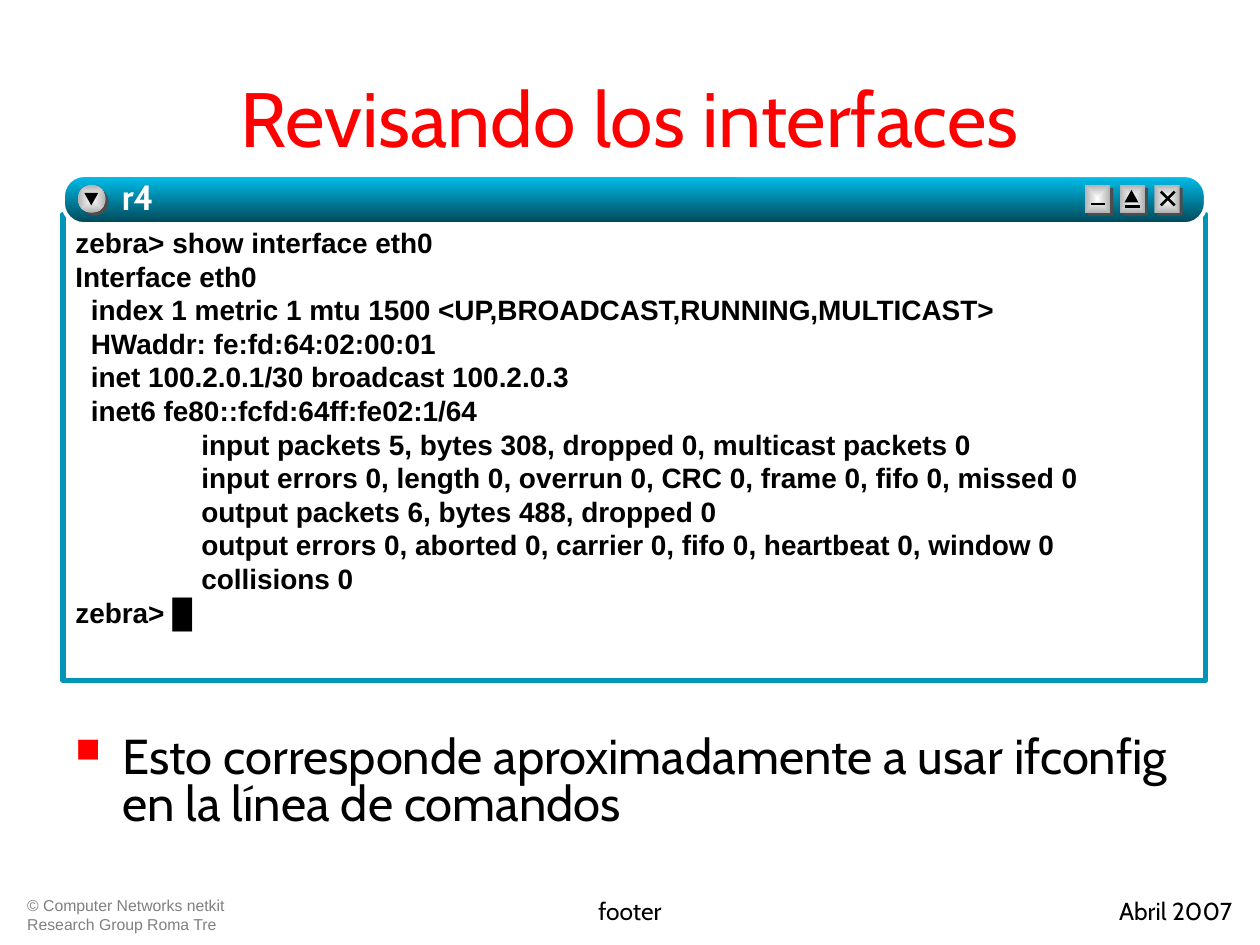
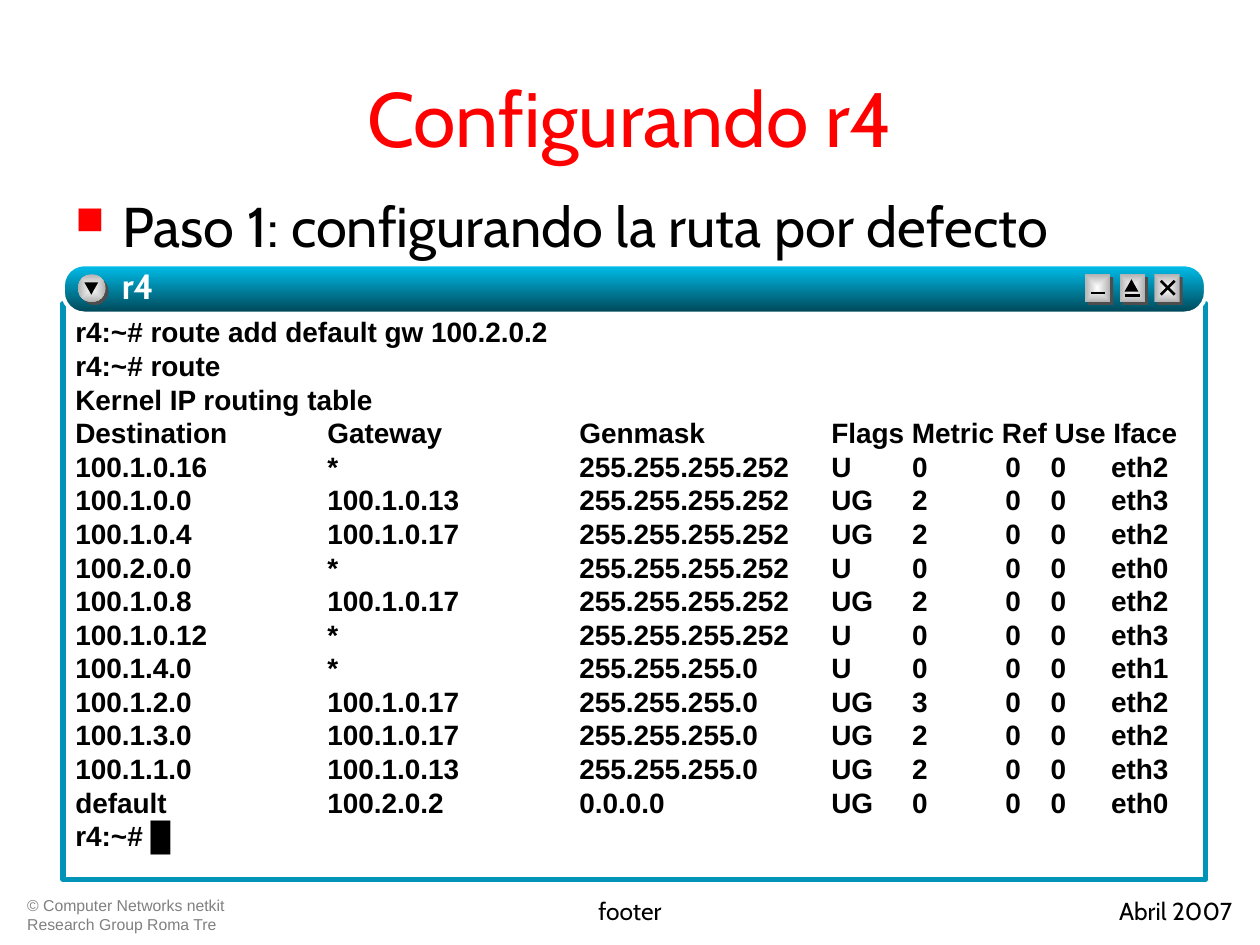
"""Builds two slides that show terminal windows of router r4."""
from dataclasses import dataclass
from typing import NamedTuple

from lxml import etree
from pptx import Presentation
from pptx.dml.color import RGBColor
from pptx.enum.shapes import MSO_CONNECTOR, MSO_SHAPE
from pptx.enum.text import MSO_ANCHOR, PP_ALIGN
from pptx.oxml.ns import qn
from pptx.util import Cm, Pt

RED = RGBColor(0xFF, 0x00, 0x00)
BLACK = RGBColor(0x00, 0x00, 0x00)
WHITE = RGBColor(0xFF, 0xFF, 0xFF)
GREY = RGBColor(0x80, 0x80, 0x80)
DARK_GREY = RGBColor(0x4D, 0x4D, 0x4D)
FRAME_BLUE = RGBColor(0x00, 0x95, 0xB8)
BAR_COLORS = (RGBColor(0x00, 0xC1, 0xEE), RGBColor(0x00, 0x45, 0x55))
BUTTON_COLORS = (RGBColor(0xFE, 0xFE, 0xFE), RGBColor(0xB2, 0xB2, 0xB2))

RECT, ROUNDED = MSO_SHAPE.RECTANGLE, MSO_SHAPE.ROUNDED_RECTANGLE
OVAL, TRIANGLE = MSO_SHAPE.OVAL, MSO_SHAPE.ISOSCELES_TRIANGLE
STRAIGHT = MSO_CONNECTOR.STRAIGHT
LEFT, CENTER, RIGHT = PP_ALIGN.LEFT, PP_ALIGN.CENTER, PP_ALIGN.RIGHT
TOP, MIDDLE = MSO_ANCHOR.TOP, MSO_ANCHOR.MIDDLE

SANS, MONO_AREA = "Cabin", "Arial"
MARGINS = (0.25, 0.13, 0.25, 0.13)
WINDOW_LEFT, WINDOW_WIDTH = 1.27, 23.04
BAR_HEIGHT, PANEL_OFFSET = 0.99, 0.79
BUTTON_LEFT, BUTTON_PITCH, BUTTON_DROP, BUTTON_SHADOW = 21.87, 0.7, 0.2, 0.06
FOOTER_TOP, FOOTER_HEIGHT = 17.93, 0.91


class Box(NamedTuple):
    """Position and size in centimetres."""
    x: float
    y: float
    w: float
    h: float


class Route(NamedTuple):
    """One line of the routing table."""
    destination: str
    gateway: str
    genmask: str
    flags: str
    metric: str
    iface: str

    def line(self) -> str:
        """Return the line with its columns parted by tabs."""
        return "\t".join((*self[:5], "0", "0", self.iface))


@dataclass(frozen=True)
class Button:
    """A window button: its strokes and optional triangle, from its corner."""
    strokes: tuple
    triangle: bool = False


@dataclass(frozen=True)
class TerminalSlide:
    """The content of one slide."""
    title: str
    bullet: str
    bullet_box: Box
    bullet_size: int
    bullet_spacing: float
    window_top: float
    panel_height: float
    lines: tuple
    tabs: tuple


BUTTONS = (
    Button(((0.13, 0.38, 0.41, 0.38),)),
    Button(((0.1, 0.43, 0.41, 0.43),), triangle=True),
    Button(((0.13, 0.41, 0.41, 0.13), (0.13, 0.13, 0.41, 0.41))),
)

ROUTES = (
    Route("100.1.0.16", "*", "255.255.255.252", "U", "0", "eth2"),
    Route("100.1.0.0", "100.1.0.13", "255.255.255.252", "UG", "2", "eth3"),
    Route("100.1.0.4", "100.1.0.17", "255.255.255.252", "UG", "2", "eth2"),
    Route("100.2.0.0", "*", "255.255.255.252", "U", "0", "eth0"),
    Route("100.1.0.8", "100.1.0.17", "255.255.255.252", "UG", "2", "eth2"),
    Route("100.1.0.12", "*", "255.255.255.252", "U", "0", "eth3"),
    Route("100.1.4.0", "*", "255.255.255.0", "U", "0", "eth1"),
    Route("100.1.2.0", "100.1.0.17", "255.255.255.0", "UG", "3", "eth2"),
    Route("100.1.3.0", "100.1.0.17", "255.255.255.0", "UG", "2", "eth2"),
    Route("100.1.1.0", "100.1.0.13", "255.255.255.0", "UG", "2", "eth3"),
    Route("default", "100.2.0.2", "0.0.0.0", "UG", "0", "eth0"),
)

SLIDES = (
    TerminalSlide(
        "Revisando los interfaces",
        "Esto corresponde aproximadamente a usar ifconfig en la línea de comandos",
        Box(1.27, 14.73, 22.86, 2.29), 28, 0.8, 3.53, 9.4,
        (
            "zebra> show interface eth0",
            "Interface eth0",
            "  index 1 metric 1 mtu 1500 <UP,BROADCAST,RUNNING,MULTICAST>",
            "  HWaddr: fe:fd:64:02:00:01",
            "  inet 100.2.0.1/30 broadcast 100.2.0.3",
            "  inet6 fe80::fcfd:64ff:fe02:1/64",
            "\tinput packets 5, bytes 308, dropped 0, multicast packets 0",
            "\tinput errors 0, length 0, overrun 0, CRC 0, frame 0, fifo 0, missed 0",
            "\toutput packets 6, bytes 488, dropped 0",
            "\toutput errors 0, aborted 0, carrier 0, fifo 0, heartbeat 0, window 0",
            "\tcollisions 0",
            "zebra> █",
        ),
        (2.54,),
    ),
    TerminalSlide(
        "Configurando r4",
        "Paso 1: configurando la ruta por defecto",
        Box(1.27, 3.73, 22.86, 1.68), 32, 1.0, 5.33, 11.61,
        (
            "r4:~# route add default gw 100.2.0.2",
            "r4:~# route",
            "Kernel IP routing table",
            "Destination\tGateway\tGenmask\tFlags Metric Ref Use Iface",
            *(route.line() for route in ROUTES),
            "r4:~# █",
        ),
        (5.08, 10.16, 15.24, 16.87, 18.75, 19.66, 20.88),
    ),
)


def add_child(parent, tag: str, **attributes):
    """Append a DrawingML element and return it."""
    return etree.SubElement(parent, qn(tag), attributes)


def add_bullet(p) -> None:
    """Give a paragraph a hanging red square bullet."""
    ppr = p._p.get_or_add_pPr()
    ppr.set("marL", str(Cm(0.95)))
    ppr.set("indent", str(-Cm(0.95)))
    add_child(add_child(ppr, "a:buClr"), "a:srgbClr", val=str(RED))
    add_child(ppr, "a:buSzPct", val="70000")
    add_child(ppr, "a:buChar", char="■")


def add_tabs(p, tabs: tuple) -> None:
    """Set left tab stops, given in centimetres."""
    tab_list = add_child(p._p.get_or_add_pPr(), "a:tabLst")
    for stop in tabs:
        add_child(tab_list, "a:tab", pos=str(Cm(stop)), algn="l")


def add_text_shadow(r) -> None:
    """Put a small dark shadow behind a run."""
    effects = etree.Element(qn("a:effectLst"))
    shadow = add_child(effects, "a:outerShdw", dist=str(Cm(0.06)), dir="2700000")
    add_child(shadow, "a:srgbClr", val=str(BLACK))
    r.font._element.find(qn("a:solidFill")).addnext(effects)


def write_text(sp, lines: tuple, *, size: float, color: RGBColor = BLACK,
               font: str = SANS, bold: bool = False, align=LEFT, anchor=TOP,
               margins: tuple = MARGINS, spacing: float = 1.0,
               bullet: bool = False, tabs: tuple = (), shadow: bool = False) -> None:
    """Write one paragraph per line into a shape."""
    tf = sp.text_frame
    tf.word_wrap = True
    tf.vertical_anchor = anchor
    (tf.margin_left, tf.margin_top,
     tf.margin_right, tf.margin_bottom) = map(Cm, margins)
    for index, line in enumerate(lines):
        p = tf.add_paragraph() if index else tf.paragraphs[0]
        if bullet:
            add_bullet(p)
        if tabs:
            add_tabs(p, tabs)
        p.alignment = align
        p.line_spacing = spacing
        r = p.add_run()
        r.text = line
        r.font.size = Pt(size)
        r.font.name = font
        r.font.bold = bold
        r.font.color.rgb = color
        if shadow:
            add_text_shadow(r)


def add_text(shapes, box: Box, *lines: str, **text_format) -> None:
    """Add a text box."""
    write_text(shapes.add_textbox(*map(Cm, box)), lines, **text_format)


def add_shape(shapes, kind, box: Box, fill, *, line: RGBColor | None = None,
              width: float = 1, radial: bool = False):
    """Add a preset shape with a solid fill, or a gradient for two colours."""
    sp = shapes.add_shape(kind, *map(Cm, box))
    sp.shadow.inherit = False
    if isinstance(fill, RGBColor):
        sp.fill.solid()
        sp.fill.fore_color.rgb = fill
    else:
        sp.fill.gradient()
        sp.fill.gradient_angle = 270
        for stop, color in zip(sp.fill.gradient_stops, fill):
            stop.color.rgb = color
    if radial:
        lin = sp._element.spPr.find(".//" + qn("a:lin"))
        center = etree.Element(qn("a:path"), path="rect")
        add_child(center, "a:fillToRect", l="50000", t="50000", r="50000", b="50000")
        lin.getparent().replace(lin, center)
    if line is None:
        sp.line.fill.background()
    else:
        sp.line.color.rgb = line
        sp.line.width = Pt(width)
    return sp


def add_stroke(shapes, x1: float, y1: float, x2: float, y2: float) -> None:
    """Add a black line of a button symbol."""
    stroke = shapes.add_connector(STRAIGHT, Cm(x1), Cm(y1), Cm(x2), Cm(y2))
    stroke.line.color.rgb = BLACK
    stroke.line.width = Pt(1.5)
    add_child(stroke._element.spPr, "a:effectLst")


def add_button_face(shapes, kind, box: Box) -> None:
    """Add a raised button face with its dark lower edge."""
    x, y, w, h = box
    edge = Box(x + BUTTON_SHADOW, y + BUTTON_SHADOW, w, h)
    add_shape(shapes, kind, edge, DARK_GREY)
    add_shape(shapes, kind, box, BUTTON_COLORS, radial=True)


def add_window(shapes, content: TerminalSlide) -> None:
    """Draw the terminal window: panel, title bar and buttons."""
    top = content.window_top
    panel = add_shape(
        shapes, RECT,
        Box(WINDOW_LEFT, top + PANEL_OFFSET, WINDOW_WIDTH, content.panel_height),
        WHITE, line=FRAME_BLUE, width=3)
    write_text(panel, content.lines, size=16, font=MONO_AREA, bold=True,
               margins=(0.25, 0.23, 0.25, 0.13), tabs=content.tabs)
    bar = add_shape(shapes, ROUNDED, Box(WINDOW_LEFT, top, WINDOW_WIDTH, BAR_HEIGHT),
                    BAR_COLORS, line=WHITE, width=2.25)
    bar.adjustments[0] = 0.43

    y = top + BUTTON_DROP
    menu = shapes.add_group_shape().shapes
    add_button_face(menu, OVAL, Box(1.57, y, 0.56, 0.56))
    arrow = add_shape(menu, TRIANGLE, Box(1.7, y + 0.16, 0.28, 0.25), BLACK)
    arrow.rotation = 180

    controls = shapes.add_group_shape().shapes
    for index, button in enumerate(BUTTONS):
        x = BUTTON_LEFT + index * BUTTON_PITCH
        add_button_face(controls, RECT, Box(x, y, 0.51, 0.56))
        for x1, y1, x2, y2 in button.strokes:
            add_stroke(controls, x + x1, y + y1, x + x2, y + y2)
        if button.triangle:
            add_shape(controls, TRIANGLE, Box(x + 0.1, y + 0.1, 0.28, 0.25), BLACK)
    add_text(shapes, Box(2.46, top, 6.6, BAR_HEIGHT), "r4", size=20, color=WHITE,
             bold=True, margins=(0, 0, 0, 0), shadow=True)


def add_footers(shapes) -> None:
    """Add the copyright, footer and date."""
    add_text(shapes, Box(0.3, FOOTER_TOP, 4.8, FOOTER_HEIGHT),
             "© Computer Networks netkit", "Research Group Roma Tre",
             size=9, font=MONO_AREA, color=GREY)
    add_text(shapes, Box(6.5, FOOTER_TOP, 12.4, FOOTER_HEIGHT), "footer",
             size=14, align=CENTER)
    add_text(shapes, Box(19.3, FOOTER_TOP, 5.79, FOOTER_HEIGHT), "Abril 2007",
             size=14, align=RIGHT)


def main() -> None:
    """Build and save the presentation."""
    prs = Presentation()
    prs.slide_width, prs.slide_height = Cm(25.4), Cm(19.05)
    for content in SLIDES:
        shapes = prs.slides.add_slide(prs.slide_layouts[6]).shapes
        add_text(shapes, Box(1.27, 0.76, 22.86, 3.18), content.title,
                 size=44, color=RED, align=CENTER, anchor=MIDDLE)
        add_text(shapes, content.bullet_box, content.bullet, bullet=True,
                 size=content.bullet_size, spacing=content.bullet_spacing)
        add_window(shapes, content)
        add_footers(shapes)
    prs.save("out.pptx")


if __name__ == "__main__":
    main()
